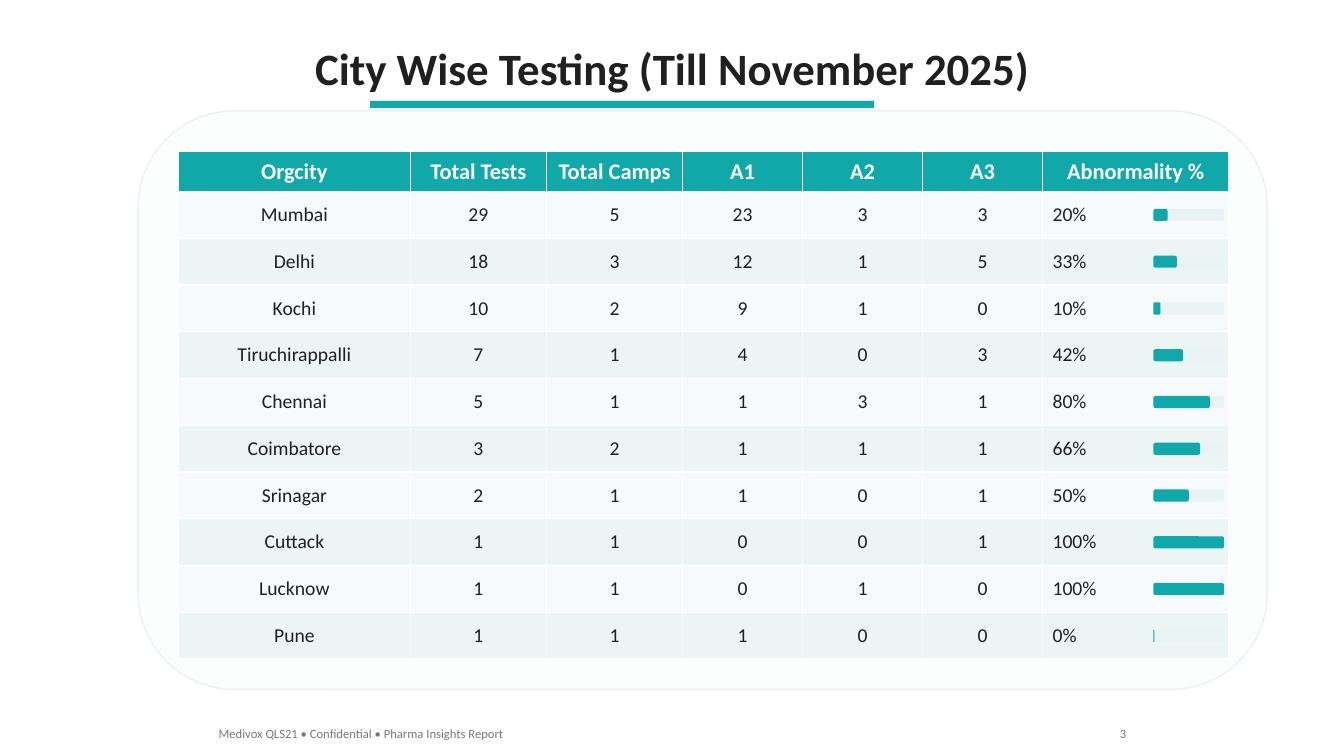
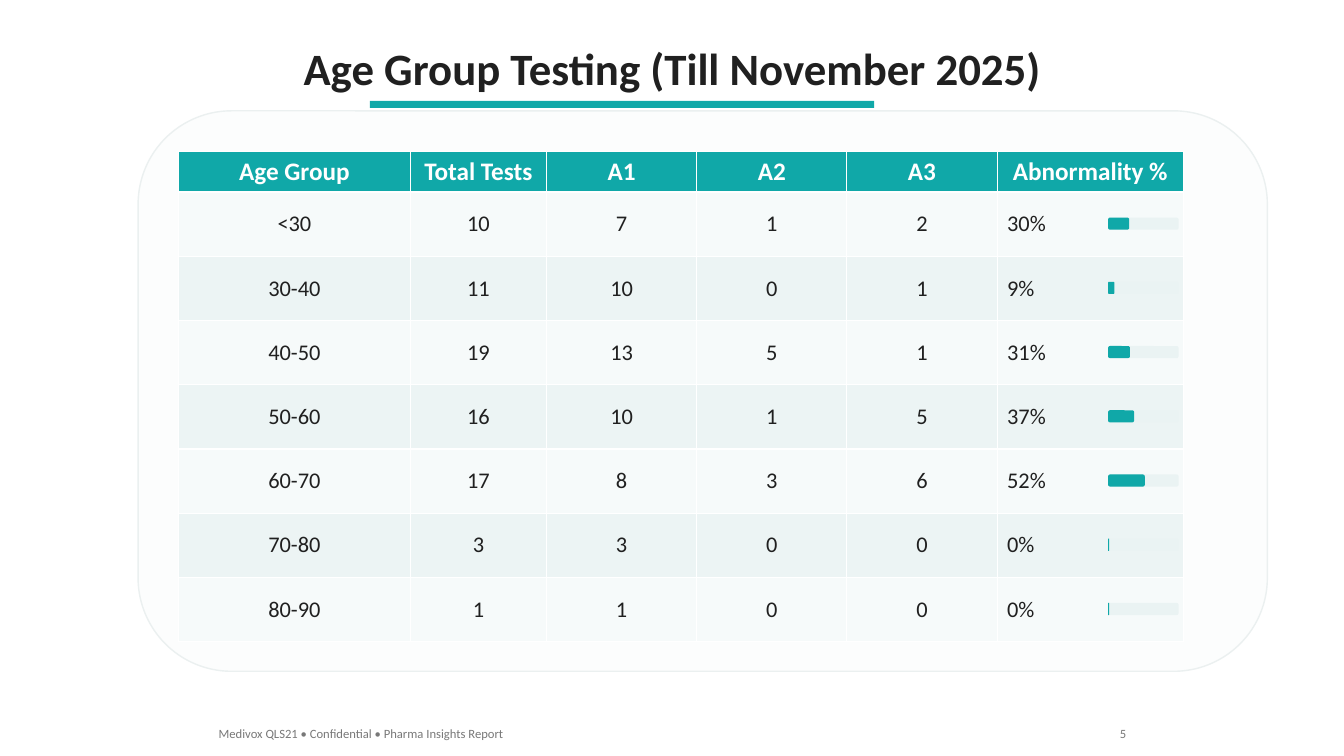
from pptx import Presentation
from pptx.dml.color import RGBColor
from pptx.enum.shapes import MSO_SHAPE
from pptx.enum.text import MSO_ANCHOR, PP_ALIGN
from pptx.util import Inches, Pt

RECT, ROUND = MSO_SHAPE.RECTANGLE, MSO_SHAPE.ROUNDED_RECTANGLE
LEFT, MID, RIGHT = PP_ALIGN.LEFT, PP_ALIGN.CENTER, PP_ALIGN.RIGHT
CENTER = MSO_ANCHOR.MIDDLE

HUES = {
    "teal": "10A8A8", "ink": "202020", "gray": "787878", "white": "FFFFFF",
    "panel": "FCFDFD", "edge": "EBF0F0", "track": "EAF3F3",
    "odd": "F6FAFA", "even": "ECF4F4",
}
FONTS = {
    "title": {"name": "Calibri", "size": Pt(32), "bold": True},
    "foot": {"name": "Calibri", "size": Pt(9), "bold": False},
}
NOTE = "Medivox QLS21 • Confidential • Pharma Insights Report"
GRID_X, GRID_Y, HEAD_H, PAD = 1.77, 1.5, 0.4, 0.4
BAR_W, BAR_H, BAR_GAP = 0.7, 0.12, 0.75

CITY = {
    "title": "City Wise Testing (Till November 2025)",
    "page": "3",
    "heads": ["Orgcity", "Total Tests", "Total Camps", "A1", "A2", "A3", "Abnormality %"],
    "cols": [2.3, 1.35, 1.35, 1.19, 1.19, 1.19, 1.85],
    "body_h": 4.64,
    "size": 14,
    "rows": [
        ("Mumbai", 29, 5, 23, 3, 3),
        ("Delhi", 18, 3, 12, 1, 5),
        ("Kochi", 10, 2, 9, 1, 0),
        ("Tiruchirappalli", 7, 1, 4, 0, 3),
        ("Chennai", 5, 1, 1, 3, 1),
        ("Coimbatore", 3, 2, 1, 1, 1),
        ("Srinagar", 2, 1, 1, 0, 1),
        ("Cuttack", 1, 1, 0, 0, 1),
        ("Lucknow", 1, 1, 0, 1, 0),
        ("Pune", 1, 1, 1, 0, 0),
    ],
}
AGE = {
    "title": "Age Group Testing (Till November 2025)",
    "page": "5",
    "heads": ["Age Group", "Total Tests", "A1", "A2", "A3", "Abnormality %"],
    "cols": [2.3, 1.35, 1.49, 1.49, 1.49, 1.85],
    "body_h": 4.46,
    "size": 16,
    "rows": [
        ("<30", 10, 7, 1, 2),
        ("30-40", 11, 10, 0, 1),
        ("40-50", 19, 13, 5, 1),
        ("50-60", 16, 10, 1, 5),
        ("60-70", 17, 8, 3, 6),
        ("70-80", 3, 3, 0, 0),
        ("80-90", 1, 1, 0, 0),
    ],
}


def hue(name):
    return RGBColor.from_string(HUES[name])


def apply(item, values):
    for key, value in values.items():
        setattr(item, key, value)


def place(item, x, y, w, h):
    apply(item, {"left": Inches(x), "top": Inches(y),
                 "width": Inches(w), "height": Inches(h)})


def write(frame, text, font, color, align):
    frame.text = text
    para = frame.paragraphs[0]
    para.alignment = align
    face = para.runs[0].font
    apply(face, font)
    face.color.rgb = hue(color)


def add_box(slide, kind, x, y, w, h, fill, edge=None):
    box = slide.shapes.add_shape(kind, Inches(x), Inches(y), Inches(w), Inches(h))
    box.shadow.inherit = False
    box.fill.solid()
    box.fill.fore_color.rgb = hue(fill)
    if edge:
        box.line.color.rgb = hue(edge)
        box.line.width = Pt(1)
    else:
        box.line.fill.background()


def add_title(slide, text):
    title = slide.shapes.title
    place(title, 2.67, 0.35, 8, 0.64)
    apply(title.text_frame, {"word_wrap": False, "vertical_anchor": CENTER})
    write(title.text_frame, text, FONTS["title"], "ink", MID)
    add_box(slide, RECT, 3.67, 1, 5, 0.07, "teal")


def add_note(slide, text, x, w, align):
    box = slide.shapes.add_textbox(Inches(x), Inches(7.15), Inches(w), Inches(0.25))
    box.text_frame.word_wrap = False
    write(box.text_frame, text, FONTS["foot"], "gray", align)


def rate(row):
    return 100 * (row[-2] + row[-1]) // row[1]


def fill_row(cells, texts, font, color, fill, last):
    for cell, text in zip(cells, texts):
        cell.fill.solid()
        cell.fill.fore_color.rgb = hue(fill)
        cell.vertical_anchor = CENTER
        write(cell.text_frame, str(text), font, color, MID)
    cells[-1].text_frame.paragraphs[0].alignment = last


def add_grid(slide, data, row_h):
    rows, cols = data["rows"], data["cols"]
    frame = slide.shapes.add_table(
        len(rows) + 1, len(cols), Inches(GRID_X), Inches(GRID_Y),
        Inches(sum(cols)), Inches(HEAD_H + data["body_h"]))
    table = frame.table
    table.horz_banding = False
    for col, width in zip(table.columns, cols):
        col.width = Inches(width)
    for i, line in enumerate(table.rows):
        line.height = Inches(row_h if i else HEAD_H)
    lines = [list(line.cells) for line in table.rows]
    head = {"name": "Calibri", "size": Pt(data["size"] + 2), "bold": True}
    body = {"name": "Calibri", "size": Pt(data["size"]), "bold": False}
    fill_row(lines[0], data["heads"], head, "white", "teal", MID)
    for i, row in enumerate(rows):
        texts = [*row, f"{rate(row)}%"]
        fill_row(lines[i + 1], texts, body, "ink", "even" if i % 2 else "odd", LEFT)


def add_bars(slide, data, row_h):
    x = GRID_X + sum(data["cols"]) - BAR_GAP
    for i, row in enumerate(data["rows"]):
        y = GRID_Y + HEAD_H + (i + 0.5) * row_h - BAR_H / 2
        part = rate(row) / 100
        if part < 1:
            add_box(slide, ROUND, x, y, BAR_W, BAR_H, "track")
        add_box(slide, ROUND, x, y, max(BAR_W * part, 0.01), BAR_H, "teal")


def add_page(deck, data):
    slide = deck.slides.add_slide(deck.slide_layouts[5])
    row_h = data["body_h"] / len(data["rows"])
    add_title(slide, data["title"])
    add_box(slide, ROUND, 1.37, GRID_Y - PAD, 11.2,
            HEAD_H + data["body_h"] + 0.7, "panel", "edge")
    add_grid(slide, data, row_h)
    add_bars(slide, data, row_h)
    add_note(slide, NOTE, 2.07, 3.05, LEFT)
    add_note(slide, data["page"], 11, 0.27, RIGHT)


def main():
    deck = Presentation()
    apply(deck, {"slide_width": Inches(13.33), "slide_height": Inches(7.5)})
    for data in (CITY, AGE):
        add_page(deck, data)
    deck.save("out.pptx")


if __name__ == "__main__":
    main()
